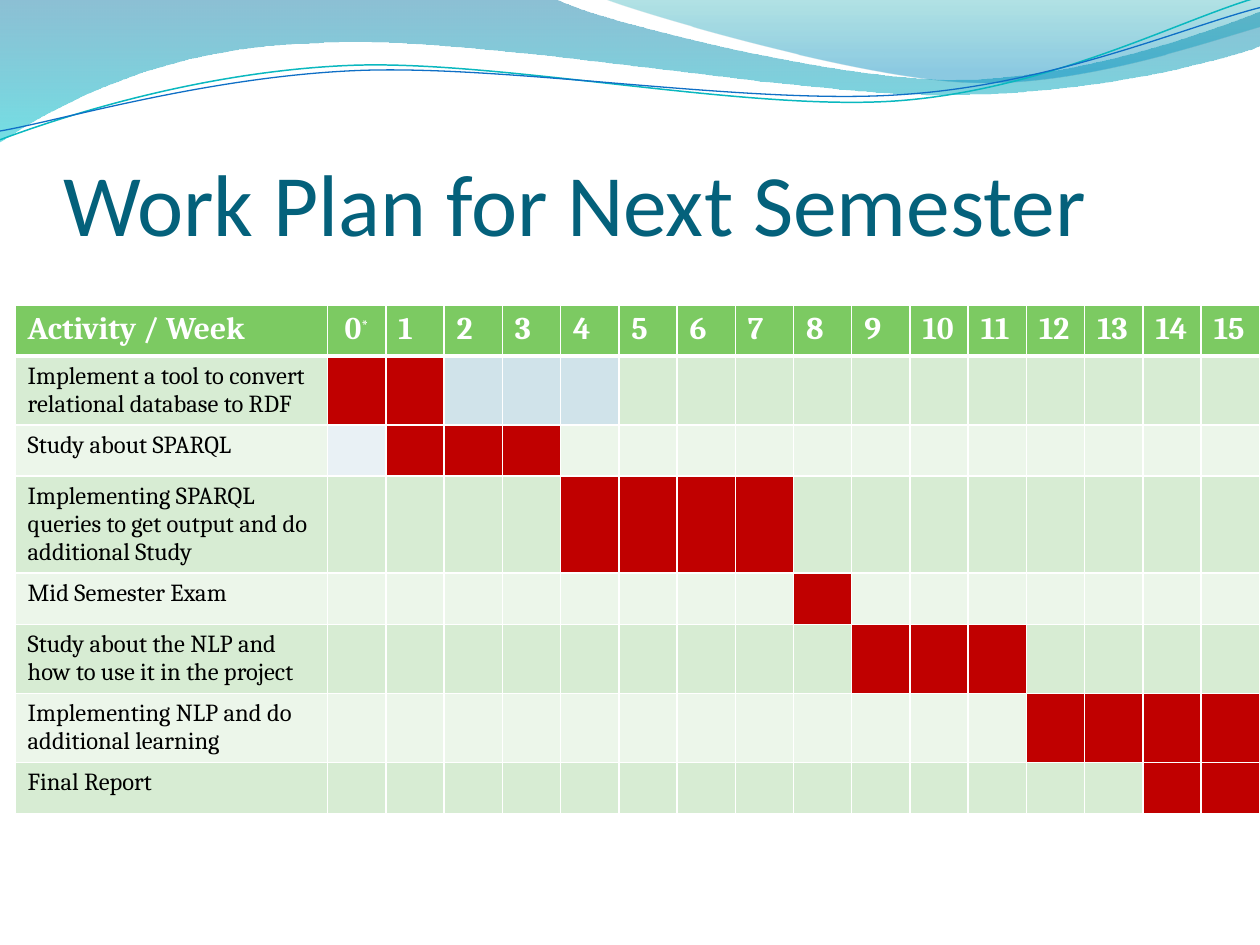
from dataclasses import dataclass
from math import cos, radians, sin

from lxml.etree import SubElement
from pptx import Presentation
from pptx.dml.color import RGBColor
from pptx.enum.text import MSO_ANCHOR, MSO_AUTO_SIZE, PP_ALIGN
from pptx.oxml.ns import qn
from pptx.util import Inches, Pt


@dataclass(frozen=True)
class Theme:
    title_font: str = "Calibri"
    table_font: str = "Cambria"
    title_size: int = 50
    header_size: int = 18
    note_size: int = 16
    body_size: int = 14
    title: str = "04617B"
    header: str = "7CCA62"
    bands: tuple = ("D7ECD3", "ECF6EA")
    busy: str = "C00000"
    white: str = "FFFFFF"
    black: str = "000000"


theme = Theme()
color = RGBColor.from_string


def add_curve(page, bounds, start, segments, closed, rotation=0):
    """Draw straight (2 numbers) and cubic (6 numbers) segments inside bounds."""
    left, top, width, height = bounds
    builder = page.shapes.build_freeform(Inches(left), Inches(top))
    builder.add_line_segments([(Inches(left + width), Inches(top + height))], close=False)
    shape = builder.convert_to_shape()
    shape.shadow.inherit = False
    shape.rotation = rotation
    outline = next(shape.element.iter(qn("a:path")))
    for child in list(outline):
        outline.remove(child)
    # Points are page positions, so turn them back into the unrotated box
    cosine, sine = cos(radians(rotation)), sin(radians(rotation))
    tags = {2: "a:lnTo", 6: "a:cubicBezTo"}
    for tag, numbers in [("a:moveTo", start)] + [(tags[len(s)], s) for s in segments]:
        command = SubElement(outline, qn(tag))
        for x, y in zip(numbers[::2], numbers[1::2]):
            dx, dy = x - left - width / 2, y - top - height / 2
            SubElement(command, qn("a:pt"),
                       x=str(Inches(width / 2 + dx * cosine + dy * sine)),
                       y=str(Inches(height / 2 + dy * cosine - dx * sine)))
    if closed:
        SubElement(outline, qn("a:close"))
    page.shapes.title.element.addprevious(shape.element)
    return shape


def set_border(cell, side, width):
    line = SubElement(cell._tc.get_or_add_tcPr(), qn("a:" + side), w=str(Pt(width)))
    fill = SubElement(line, qn("a:solidFill"))
    SubElement(fill, qn("a:srgbClr"), val=theme.white)


deck = Presentation()
deck.slide_width, deck.slide_height = Inches(10), Inches(7.5)
page = deck.slides.add_slide(deck.slide_layouts[5])

# Filled waves: bounds, start, segments, gradient stops (position, colour, opacity)
waves = [
    ((-0.01, -0.01, 10.02, 1.14), (0, 0),
     [(4.4, -0.01), (4.76, 0.17, 6.64, 0.63, 7.58, 0.63),
      (8.53, 0.63, 9.58, 0.26, 10, 0.09), (10.01, 0.36),
      (9.83, 0.44, 8.7, 0.76, 7.46, 0.75), (6.22, 0.75, 3.82, 0.28, 2.57, 0.34),
      (1.29, 0.36, 0.46, 0.83, -0.01, 1.13), (0, 0)],
     [(0, "0074A1", 45), (1, "00C6CF", 55)]),
    ((4.79, -0.01, 5.21, 0.7), (4.79, -0.01),
     [(5.09, 0.11, 6.82, 0.62, 7.69, 0.65), (8.56, 0.69, 9.61, 0.32, 10, 0.21),
      (10, 0), (4.79, -0.01)],
     [(0, "00A1A9", 30), (0.8, "008BBF", 45)]),
]
for bounds, start, segments, stops in waves:
    wave = add_curve(page, bounds, start, segments, True)
    wave.line.fill.background()
    wave.fill.gradient()
    wave.fill.gradient_angle = 270
    for stop, (position, tint, _) in zip(wave.fill.gradient_stops, stops):
        stop.position = position
        stop.color.rgb = color(tint)
    for tint, (_, _, opacity) in zip(wave.element.iter(qn("a:srgbClr")), stops):
        SubElement(tint, qn("a:alpha"), val=str(opacity * 1000))

# Thin wave lines: bounds, start, segments, colour, width
wave_lines = [
    ((-0.02, 0.22, 10.02, 0.71), (0, 1.11),
     [(0.48, 0.93, 1.58, 0.57, 2.77, 0.52), (3.95, 0.47, 5.93, 0.89, 7.13, 0.8),
      (8.33, 0.71, 9.38, 0.15, 9.98, -0.02)], "0AB8BF", 0.85),
    ((-0.02, 0.3, 10.03, 0.58), (0, 1.04),
     [(0.47, 0.96, 1.64, 0.61, 2.83, 0.56), (4.03, 0.51, 5.97, 0.84, 7.17, 0.75),
      (8.36, 0.67, 9.41, 0.21, 10, 0.06)], "0F6FC6", 0.75),
]
for bounds, start, segments, tint, width in wave_lines:
    wave_line = add_curve(page, bounds, start, segments, False, rotation=357.3)
    wave_line.fill.background()
    wave_line.line.color.rgb = color(tint)
    wave_line.line.width = Pt(width)

# Title
title = page.shapes.title
title.left, title.top = Inches(0.5), Inches(0.77)
title.width, title.height = Inches(9.08), Inches(1.25)
frame = title.text_frame
frame.text = "Work Plan for Next Semester"
frame.auto_size = MSO_AUTO_SIZE.NONE
frame.vertical_anchor = MSO_ANCHOR.BOTTOM
frame.margin_left = frame.margin_right = frame.margin_bottom = 0
frame.margin_top = Inches(0.05)
para = frame.paragraphs[0]
para.alignment = PP_ALIGN.LEFT
para.font.name, para.font.size = theme.title_font, Pt(theme.title_size)
para.font.color.rgb = color(theme.title)

# Work plan: activity, first and last busy week
activities = [
    ("Implement a tool to convert relational database to RDF", 0, 1),
    ("Study about SPARQL", 1, 3),
    ("Implementing SPARQL queries to get output and do additional Study", 4, 7),
    ("Mid Semester Exam", 8, 8),
    ("Study about the NLP and how to use it in the project", 9, 11),
    ("Implementing NLP and do additional learning", 12, 15),
    ("Final Report", 14, 15),
]
weeks = range(16)
# Idle cells with their own tint: (activity number, week)
tinted = {(0, 2): "D0E3EA", (0, 3): "D0E3EA", (0, 4): "D0E3EA", (1, 0): "E9F1F5"}

# Rows share the height evenly and grow with their text
table_width, activity_width = 9.88, 2.48
plan = page.shapes.add_table(len(activities) + 1, len(weeks) + 1, Inches(0.12),
                             Inches(2.42), Inches(table_width), Inches(3.24))
table = plan.table
week_width = (table_width - activity_width) / len(weeks)
for index, column in enumerate(table.columns):
    column.width = Inches(week_width if index else activity_width)
plan.height = Inches(4.36)

# Texts and fills by row
rows = [[("Activity / Week", theme.header)] + [(str(week), theme.header) for week in weeks]]
for number, (activity, first, last) in enumerate(activities):
    band = theme.bands[number % 2]
    rows.append([(activity, band)] + [
        ("", theme.busy if first <= week <= last else tinted.get((number, week), band))
        for week in weeks])

for row_index, row in enumerate(rows):
    is_header = row_index == 0
    for column_index, (text, fill) in enumerate(row):
        cell = table.cell(row_index, column_index)
        for side in ("lnL", "lnR", "lnT", "lnB"):
            thick = (is_header and side == "lnB") or (row_index == 1 and side == "lnT")
            set_border(cell, side, 3 if thick else 1)
        cell.fill.solid()
        cell.fill.fore_color.rgb = color(fill)
        if not text:
            continue
        cell.text = text
        para = cell.text_frame.paragraphs[0]
        para.font.name = theme.table_font
        para.font.size = Pt(theme.header_size if is_header else theme.body_size)
        para.font.bold = is_header
        para.font.color.rgb = color(theme.white if is_header else theme.black)

# Raised mark on week 0
para = table.cell(0, 1).text_frame.paragraphs[0]
para.alignment = PP_ALIGN.CENTER
span = para.add_run()
span.text = "*"
span.font.size = Pt(theme.note_size)
span.font._element.set("baseline", "30000")

deck.save("out.pptx")
